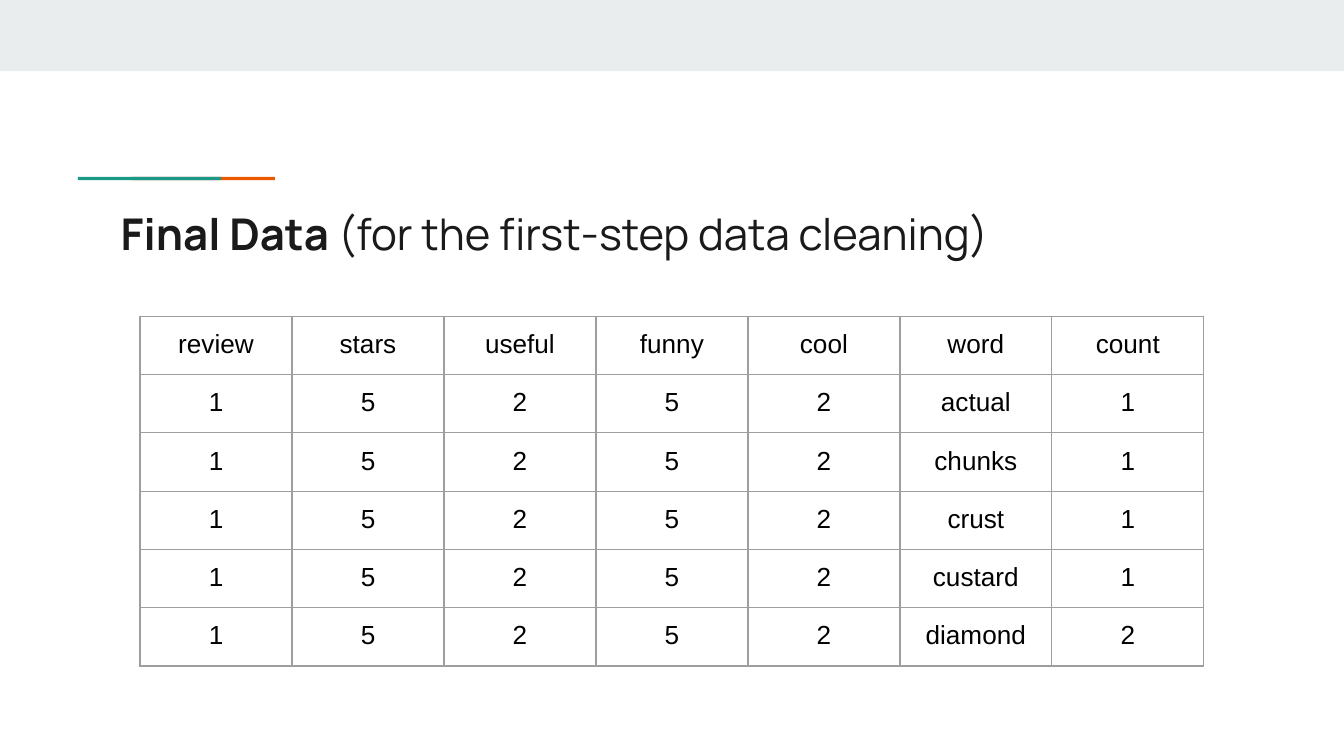
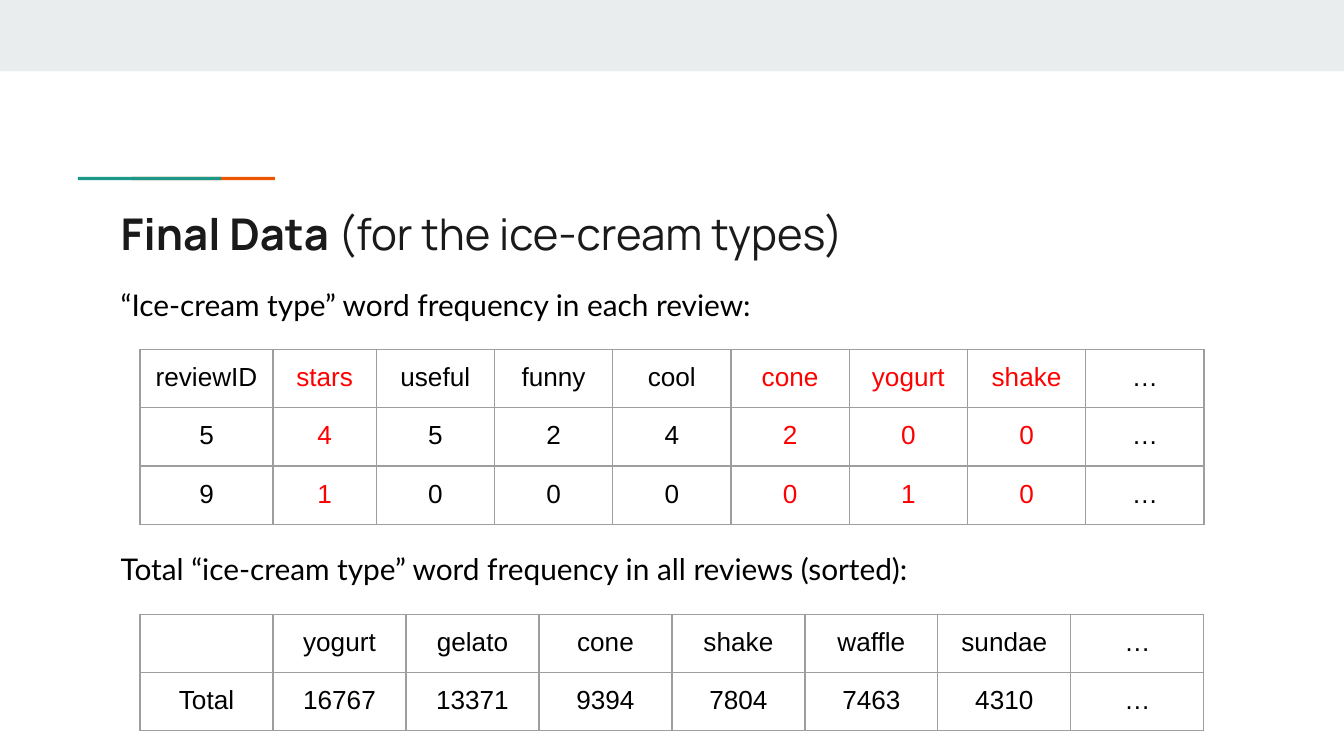
import dataclasses
import lxml.etree
import pptx
import pptx.dml.color
import pptx.enum.shapes
import pptx.enum.text
import pptx.oxml.ns
import pptx.util

WIDE = pptx.util.Inches(10)
HIGH = WIDE * 9 // 16
PAD = pptx.util.Inches(0.1)
INK, DARK, RED, GREY = "000000", "1A1A1A", "FF0000", "9E9E9E"
HEAD = {"name": "Manrope", "size": pptx.util.Pt(23.4)}
NOTE = {"name": "Lato", "size": pptx.util.Pt(16), "bold": False}
CELL = {"name": "Arial", "size": pptx.util.Pt(14), "bold": False}
SIDES = ("margin_left", "margin_top", "margin_right", "margin_bottom")
INSET = dict.fromkeys(SIDES, PAD)
FRAME = INSET | {
    "word_wrap": True,
    "vertical_anchor": pptx.enum.text.MSO_ANCHOR.TOP,
}
PLAIN = {"first_row": False, "horz_banding": False}
MID = {
    "alignment": pptx.enum.text.PP_ALIGN.CENTER,
    "line_spacing": 1.0,
    "space_before": pptx.util.Pt(0),
    "space_after": pptx.util.Pt(0),
}


@dataclasses.dataclass(frozen=True)
class Area:
    """Percentages of the slide's width and height."""

    left: float
    top: float
    width: float
    height: float

    def box(self) -> tuple[int, int, int, int]:
        return (across(self.left), down(self.top),
                across(self.width), down(self.height))


@dataclasses.dataclass(frozen=True)
class Bar:
    area: Area
    color: str


@dataclasses.dataclass(frozen=True)
class Note:
    text: str
    top: float
    width: float


@dataclasses.dataclass(frozen=True)
class Grid:
    rows: list[list[str]]
    top: float
    row: float
    cols: tuple[float, ...]
    marked: tuple[int, ...] = ()


@dataclasses.dataclass(frozen=True)
class Page:
    topic: str
    grids: tuple[Grid, ...]
    notes: tuple[Note, ...] = ()


LEFT, INNER, SPAN = 8, 10.42, 79.17
TITLE = Area(LEFT, 25.6, 84.1, 10.5)
BARS = (
    Bar(Area(0, 0, 100, 9.43), "E9EDEE"),
    Bar(Area(9.8, 23.4, 10.66, 0.43), "EB5600"),
    Bar(Area(5.8, 23.4, 10.66, 0.43), "1A9988"),
)
WORDS = {"actual": 1, "chunks": 1, "crust": 1, "custard": 1, "diamond": 2}
PAGES = (
    Page(
        "(for the first-step data cleaning)",
        (Grid(
            ["review stars useful funny cool word count".split()]
            + [[*"15252", word, str(count)] for word, count in WORDS.items()],
            41.83, 7.41, (SPAN / 7,) * 7,
        ),),
    ),
    Page(
        "(for the ice-cream types)",
        (
            Grid(
                ["reviewID stars useful funny cool cone yogurt shake …".split(),
                 [*"54524200…"], [*"91000010…"]],
                46.22, 7.41, (9.9, 7.67) + (8.8,) * 7, (1, 5, 6, 7),
            ),
            Grid(
                [["", *"yogurt gelato cone shake waffle sundae …".split()],
                 "Total 16767 13371 9394 7804 7463 4310 …".split()],
                81.25, 7.7, (SPAN / 8,) * 8,
            ),
        ),
        (
            Note("“Ice-cream type” word frequency in each review:", 36.1, 55.1),
            Note("Total “ice-cream type” word frequency in all reviews (sorted):",
                 71.12, 67.6),
        ),
    ),
)


def across(share: float) -> int:
    return round(WIDE * share / 100)


def down(share: float) -> int:
    return round(HIGH * share / 100)


def paint(color: str) -> pptx.dml.color.RGBColor:
    return pptx.dml.color.RGBColor.from_string(color)


def apply(item: object, values: dict) -> None:
    for key, value in values.items():
        setattr(item, key, value)


def write(para, text: str, style: dict, color: str) -> None:
    run = para.add_run()
    run.text = text
    apply(run.font, style)
    run.font.color.rgb = paint(color)


def draw_bar(slide, bar: Bar) -> None:
    kind = pptx.enum.shapes.MSO_SHAPE.RECTANGLE
    shape = slide.shapes.add_shape(kind, *bar.area.box())
    shape.shadow.inherit = False
    shape.fill.solid()
    shape.fill.fore_color.rgb = paint(bar.color)
    shape.line.fill.background()


def add_text(slide, area: Area):
    frame = slide.shapes.add_textbox(*area.box()).text_frame
    apply(frame, FRAME)
    return frame


def draw_title(slide, topic: str) -> None:
    para = add_text(slide, TITLE).paragraphs[0]
    write(para, "Final Data ", HEAD | {"bold": True}, DARK)
    write(para, topic, HEAD | {"bold": False}, DARK)


def draw_note(slide, note: Note) -> None:
    frame = add_text(slide, Area(LEFT, note.top, note.width, 8.36))
    frame.auto_size = pptx.enum.text.MSO_AUTO_SIZE.SHAPE_TO_FIT_TEXT
    write(frame.paragraphs[0], note.text, NOTE, INK)


def edge(cell) -> None:
    props = cell._tc.get_or_add_tcPr()
    name = pptx.oxml.ns.qn
    for side in ("a:lnL", "a:lnR", "a:lnT", "a:lnB"):
        line = lxml.etree.SubElement(
            props, name(side), w=str(pptx.util.Pt(0.75)))
        fill = lxml.etree.SubElement(line, name("a:solidFill"))
        lxml.etree.SubElement(fill, name("a:srgbClr"), val=GREY)


def close(para) -> None:
    name = pptx.oxml.ns.qn
    size = str(round(CELL["size"].pt * 100))
    end = lxml.etree.SubElement(para._p, name("a:endParaRPr"), sz=size)
    lxml.etree.SubElement(end, name("a:latin"), typeface=CELL["name"])


def draw_cell(cell, text: str, color: str) -> None:
    edge(cell)
    cell.fill.background()
    apply(cell, INSET)
    para = cell.text_frame.paragraphs[0]
    apply(para, MID)
    if text:
        write(para, text, CELL, color)
    close(para)


def draw_grid(slide, grid: Grid) -> None:
    count = len(grid.rows)
    area = Area(INNER, grid.top, SPAN, grid.row * count)
    table = slide.shapes.add_table(count, len(grid.cols), *area.box()).table
    apply(table, PLAIN)
    for col, share in zip(table.columns, grid.cols):
        col.width = across(share)
    for row, texts in zip(table.rows, grid.rows):
        row.height = down(grid.row)
        for spot, (cell, text) in enumerate(zip(row.cells, texts)):
            draw_cell(cell, text, RED if spot in grid.marked else INK)


def draw_page(deck, page: Page) -> None:
    slide = deck.slides.add_slide(deck.slide_layouts[6])
    for bar in BARS:
        draw_bar(slide, bar)
    draw_title(slide, page.topic)
    for grid in page.grids:
        draw_grid(slide, grid)
    for note in page.notes:
        draw_note(slide, note)


def main() -> None:
    deck = pptx.Presentation()
    apply(deck, {"slide_width": WIDE, "slide_height": HIGH})
    for page in PAGES:
        draw_page(deck, page)
    deck.save("out.pptx")


if __name__ == "__main__":
    main()
